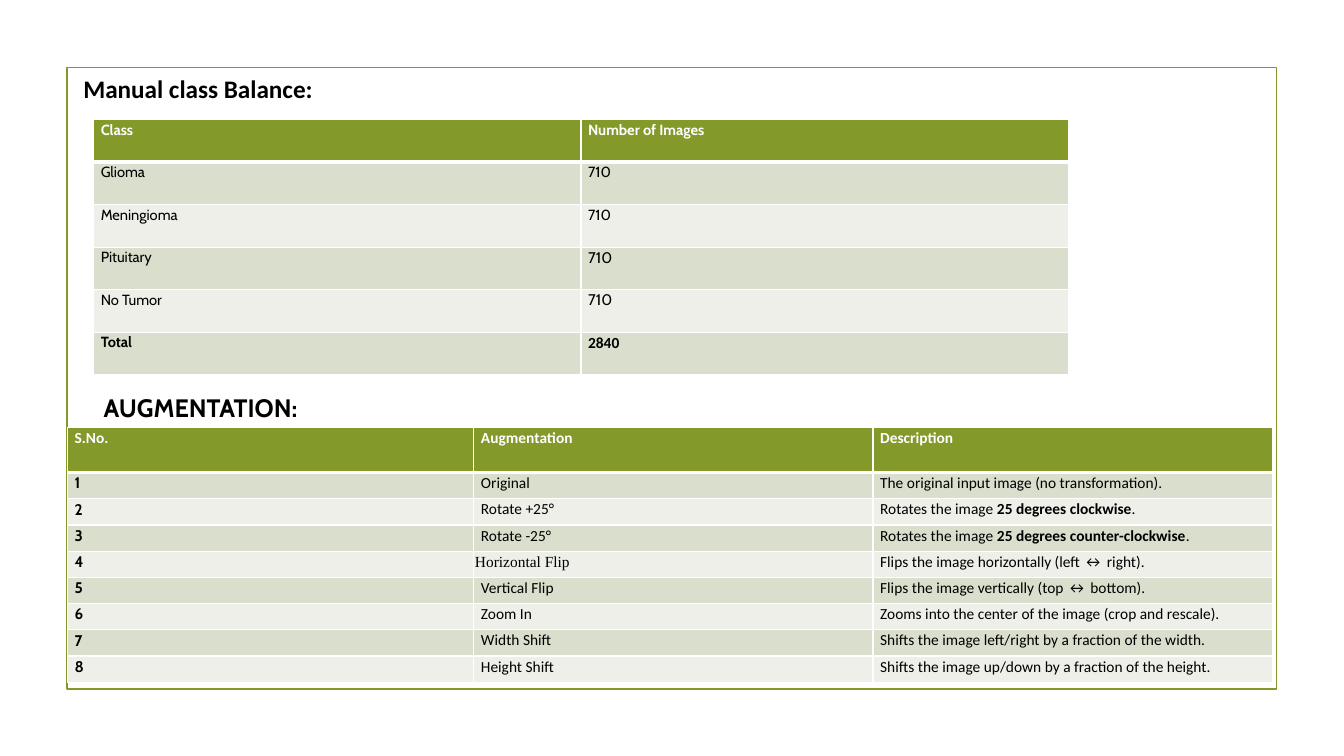
"""Build the class balance and augmentation slide."""
from dataclasses import dataclass, replace

from lxml import etree
from pptx import Presentation
from pptx import util as u
from pptx.dml.color import RGBColor
from pptx.enum import shapes, text
from pptx.oxml.ns import qn


@dataclass(frozen=True)
class TextStyle:
    """Font, size, weight and colour of a paragraph."""
    font: str
    size: float
    bold: bool = False
    color: str = "000000"


@dataclass(frozen=True)
class Theme:
    """Colours and type styles of the slide."""
    accent: str = "83992A"
    bands: tuple = ("D9DECD", "EDEFE8")
    border: str = "FFFFFF"
    heading: TextStyle = TextStyle("Calibri", 18, True)
    heading_alternate: TextStyle = TextStyle("Cabin", 18, True)
    balance: TextStyle = TextStyle("Cabin", 10.5)
    balance_header: TextStyle = TextStyle("Cabin", 10.5, True, "FFFFFF")
    augmentation: TextStyle = TextStyle("Calibri", 11)
    augmentation_header: TextStyle = TextStyle("Calibri", 11, True, "FFFFFF")
    number: TextStyle = TextStyle("Cabin", 11, True)
    serif: TextStyle = TextStyle("Times New Roman", 11)


THEME = Theme()

BALANCE = [
    ("Class", "Number of Images"),
    ("Glioma", "710"),
    ("Meningioma", "710"),
    ("Pituitary", "710"),
    ("No Tumor", "710"),
    ("Total", "2840"),
]

AUGMENTATIONS = [
    ("Original", "The original input image (no transformation)."),
    ("Rotate +25°", "Rotates the image **25 degrees clockwise**."),
    ("Rotate -25°", "Rotates the image **25 degrees counter-clockwise**."),
    ("Horizontal Flip", "Flips the image horizontally (left ↔ right)."),
    ("Vertical Flip", "Flips the image vertically (top ↔ bottom)."),
    ("Zoom In", "Zooms into the center of the image (crop and rescale)."),
    ("Width Shift", "Shifts the image left/right by a fraction of the width."),
    ("Height Shift", "Shifts the image up/down by a fraction of the height."),
]


def balance_style(row, column):
    """Return the text style of a class balance cell."""
    if row == 0:
        return THEME.balance_header
    if row == len(BALANCE) - 1:
        return replace(THEME.augmentation if column else THEME.balance,
                       bold=True)
    if column == 1 and row > 2:
        return replace(THEME.balance, size=11)
    return THEME.balance


def augmentation_style(row, column):
    """Return the text style of an augmentation cell."""
    if row == 0:
        return THEME.augmentation_header
    if column == 0:
        return THEME.number
    return THEME.serif if (row, column) == (4, 1) else THEME.augmentation


class SlideBuilder:
    """Draw styled elements on one slide, with lengths in centimetres."""

    def __init__(self, slide, theme):
        self.slide = slide
        self.theme = theme

    def frame(self, *box):
        """Draw the outlined frame."""
        shape = self.slide.shapes.add_shape(
            shapes.MSO_SHAPE.RECTANGLE, *map(u.Cm, box))
        shape.shadow.inherit = False
        shape.fill.background()
        shape.line.color.rgb = RGBColor.from_string(self.theme.accent)
        shape.line.width = u.Pt(1.25)

    def set_text(self, paragraph, content, style):
        """Fill a paragraph, with ** around parts in bold."""
        paragraph.line_spacing = 1.07
        font = paragraph.font
        font.name, font.size, font.bold = style.font, u.Pt(style.size), style.bold
        font.color.rgb = RGBColor.from_string(style.color)
        for index, part in enumerate(content.split("**")):
            run = paragraph.add_run()
            run.text = part
            if index % 2:
                run.font.bold = True

    def heading(self, content, style, *box):
        """Add a one-line heading."""
        frame = self.slide.shapes.add_textbox(*map(u.Cm, box)).text_frame
        frame.word_wrap = False
        frame.auto_size = text.MSO_AUTO_SIZE.SHAPE_TO_FIT_TEXT
        self.set_text(frame.paragraphs[0], content, style)
        frame.paragraphs[0].space_after = u.Pt(8)

    def borders(self, cell, bottom):
        """Give a cell its four border lines."""
        properties = cell._tc.get_or_add_tcPr()
        for side, width in (("L", 1), ("R", 1), ("T", 1), ("B", bottom)):
            line = etree.SubElement(properties, qn(f"a:ln{side}"),
                                    w=str(u.Pt(width)))
            fill = etree.SubElement(line, qn("a:solidFill"))
            etree.SubElement(fill, qn("a:srgbClr"), val=self.theme.border)

    def table(self, rows, left, top, widths, heights, style_for):
        """Add a banded table and return it."""
        table = self.slide.shapes.add_table(
            len(rows), len(widths), u.Cm(left), u.Cm(top),
            u.Cm(sum(widths)), u.Cm(sum(heights))).table
        for column, width in zip(table.columns, widths):
            column.width = u.Cm(width)
        for row_index, (values, height) in enumerate(zip(rows, heights)):
            table.rows[row_index].height = u.Cm(height)
            fill = self.theme.bands[(row_index - 1) % 2]
            for column_index, value in enumerate(values):
                cell = table.cell(row_index, column_index)
                cell.margin_left = cell.margin_right = u.Cm(0.18)
                cell.margin_top = cell.margin_bottom = 0
                self.borders(cell, 1 if row_index else 3)
                cell.fill.solid()
                cell.fill.fore_color.rgb = RGBColor.from_string(
                    fill if row_index else self.theme.accent)
                self.set_text(cell.text_frame.paragraphs[0], value,
                              style_for(row_index, column_index))
        return table


def main():
    """Build and save the presentation."""
    presentation = Presentation()
    presentation.slide_width = u.Cm(33.87)
    presentation.slide_height = u.Cm(19.05)
    slide = presentation.slides.add_slide(presentation.slide_layouts[6])
    builder = SlideBuilder(slide, THEME)

    builder.frame(1.69, 1.7, 30.48, 15.66)
    builder.heading("Manual class Balance:", THEME.heading,
                    1.85, 1.68, 6.35, 1.09)
    builder.table(BALANCE, 2.36, 3.02, [12.28] * 2, [1.07] * len(BALANCE),
                  balance_style)
    builder.heading("AUGMENTATION:", THEME.heading_alternate,
                    2.36, 9.7, 5.82, 1.09)
    rows = [("S.No.", "Augmentation", "Description")]
    rows += [(str(number), *values)
             for number, values in enumerate(AUGMENTATIONS, 1)]
    table = builder.table(rows, 1.7, 10.77, [10.24, 10.06, 10.06],
                          [1.14] + [0.66] * len(AUGMENTATIONS),
                          augmentation_style)
    flip = table.cell(4, 1)
    flip.margin_left = flip.margin_right = u.Cm(0.03)
    flip.margin_top = flip.margin_bottom = u.Cm(0.03)

    presentation.save("out.pptx")


if __name__ == "__main__":
    main()
